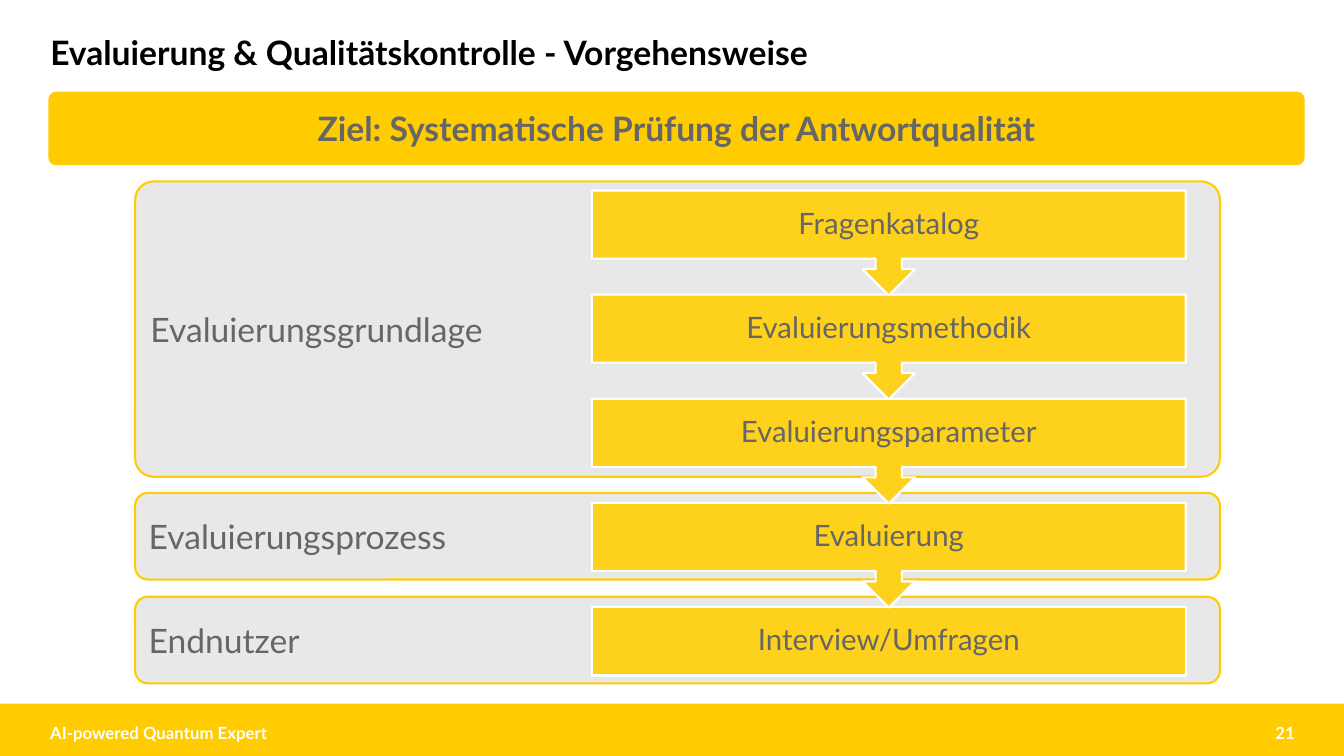
from pptx import Presentation
from pptx.dml.color import RGBColor
from pptx.enum.shapes import MSO_SHAPE
from pptx.enum.text import MSO_ANCHOR, PP_ALIGN
from pptx.util import Inches, Pt

RECT = MSO_SHAPE.RECTANGLE
ROUND = MSO_SHAPE.ROUNDED_RECTANGLE
CALLOUT = MSO_SHAPE.DOWN_ARROW_CALLOUT
LEFT, CENTER, RIGHT = PP_ALIGN.LEFT, PP_ALIGN.CENTER, PP_ALIGN.RIGHT
MIDDLE = MSO_ANCHOR.MIDDLE

COLORS = {
    "yellow": "FECC00",
    "step": "FED11C",
    "panel": "E8E8E8",
    "grey": "676666",
    "white": "FFFFFF",
    "black": "000000",
}

prs = Presentation()
prs.slide_width = Inches(13.33)
prs.slide_height = Inches(7.5)
s = prs.slides.add_slide(prs.slide_layouts[6])


def add_box(kind, at, fill, line=None, adj=None):
    sp = s.shapes.add_shape(kind, *[Inches(v) for v in at])
    sp.shadow.inherit = False
    sp.fill.solid()
    sp.fill.fore_color.rgb = RGBColor.from_string(COLORS[fill])
    if line:
        sp.line.color.rgb = RGBColor.from_string(COLORS[line])
        sp.line.width = Pt(1.5)
    else:
        sp.line.fill.background()
    if adj is not None:
        sp.adjustments[0] = adj
    return sp


def set_text(sp, text, size, color, bold=False, align=LEFT, spacing=1.0):
    tf = sp.text_frame
    tf.word_wrap = True
    tf.vertical_anchor = MIDDLE
    p = tf.paragraphs[0]
    p.alignment = align
    p.line_spacing = spacing
    r = p.add_run()
    r.text = text
    for name, value in {"name": "Lato", "size": Pt(size), "bold": bold}.items():
        setattr(r.font, name, value)
    r.font.color.rgb = RGBColor.from_string(COLORS[color])


add_box(RECT, (0, 6.98, 13.33, 0.52), "yellow")

labels = [
    ("Evaluierung & Qualitätskontrolle - Vorgehensweise",
     (0.4, 0.31, 9.41, 0.47), 24, "black", LEFT, 0.9),
    ("AI-powered Quantum Expert", (0.4, 7.16, 4.5, 0.21), 12, "white", LEFT, 1.0),
    ("21", (9.94, 7.16, 3, 0.21), 12, "white", RIGHT, 1.0),
]
for text, at, size, color, align, spacing in labels:
    sp = s.shapes.add_textbox(*[Inches(v) for v in at])
    set_text(sp, text, size, color, True, align, spacing)

goal = add_box(ROUND, (0.48, 0.91, 12.46, 0.73), "yellow", adj=0.105)
set_text(goal, "Ziel: Systematische Prüfung der Antwortqualität", 24, "grey", True, CENTER)

panels = [
    ("Evaluierungsgrundlage", 1.8, 2.93, 0.063),
    ("Evaluierungsprozess", 4.89, 0.86, 0.148),
    ("Endnutzer", 5.92, 0.86, 0.148),
]
for text, top, height, adj in panels:
    sp = add_box(ROUND, (1.34, top, 10.76, height), "panel", "yellow", adj)
    set_text(sp, text, 24, "grey")

steps = ["Fragenkatalog", "Evaluierungsmethodik", "Evaluierungsparameter",
         "Evaluierung", "Interview/Umfragen"]
last = len(steps) - 1
for i in range(last, -1, -1):
    kind, height = (RECT, 0.68) if i == last else (CALLOUT, 1.04)
    sp = add_box(kind, (5.87, 1.89 + i * 1.033, 5.89, height), "step", "white")
    set_text(sp, steps[i], 21, "grey", align=CENTER, spacing=0.9)

prs.save("out.pptx")
